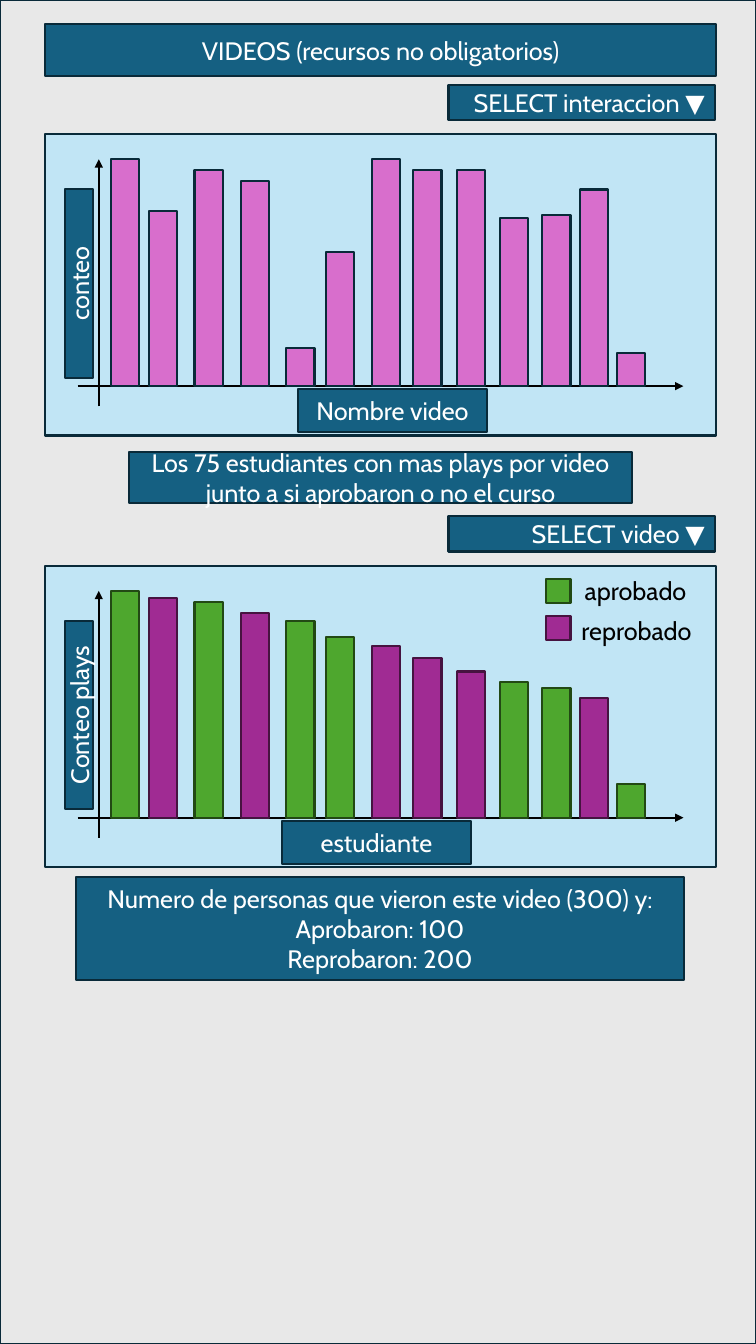
"""Build a dashboard mockup slide about video plays and student results."""
from lxml import etree
from pptx import Presentation
from pptx.dml.color import RGBColor
from pptx.enum.shapes import MSO_CONNECTOR, MSO_SHAPE
from pptx.enum.text import MSO_ANCHOR, PP_ALIGN
from pptx.oxml.ns import qn
from pptx.util import Inches, Pt

PAGE_GRAY = RGBColor(0xE8, 0xE8, 0xE8)
TEAL = RGBColor(0x15, 0x60, 0x82)
NAVY = RGBColor(0x09, 0x2A, 0x39)
PALE_BLUE = RGBColor(0xC1, 0xE5, 0xF5)
PINK = RGBColor(0xD8, 0x6E, 0xCC)
GREEN = RGBColor(0x4E, 0xA7, 0x2E)
DARK_GREEN = RGBColor(0x22, 0x49, 0x14)
PURPLE = RGBColor(0xA0, 0x2B, 0x93)
DARK_PURPLE = RGBColor(0x46, 0x13, 0x40)
WHITE = RGBColor(0xFF, 0xFF, 0xFF)
BLACK = RGBColor(0x00, 0x00, 0x00)

VIDEO = (PINK, NAVY)
PASSED = (GREEN, DARK_GREEN)
FAILED = (PURPLE, DARK_PURPLE)

PANEL_STEP = 4.28
BASELINE = 3.83
BAR_WIDTH = 0.28
BAR_LEFTS = [1.1, 1.48, 1.93, 2.39, 2.84, 3.23, 3.69, 4.1, 4.53, 4.96, 5.38, 5.75, 6.12]
VIDEO_COUNTS = [2.25, 1.74, 2.14, 2.03, 0.38, 1.33, 2.25, 2.14, 2.14, 1.67, 1.7, 1.95, 0.33]
STUDENT_PLAYS = [2.25, 2.18, 2.14, 2.03, 1.95, 1.79, 1.7, 1.58, 1.45, 1.35, 1.29, 1.19, 0.33]
RESULTS = [PASSED, FAILED, PASSED, FAILED, PASSED, PASSED, FAILED,
           FAILED, FAILED, PASSED, PASSED, FAILED, PASSED]

presentation = Presentation()
presentation.slide_width = Inches(7.5)
presentation.slide_height = Inches(13.33)
slide = presentation.slides.add_slide(presentation.slide_layouts[6])


def write(shape, lines, color=WHITE, align=PP_ALIGN.CENTER):
    frame = shape.text_frame
    frame.word_wrap = True
    frame.vertical_anchor = MSO_ANCHOR.MIDDLE
    for index, line in enumerate(lines):
        paragraph = frame.paragraphs[0] if index == 0 else frame.add_paragraph()
        paragraph.alignment = align
        for text, font_name in line:
            run = paragraph.add_run()
            run.text = text
            run.font.name = font_name
            run.font.size = Pt(18)
            run.font.color.rgb = color


def add_box(left, top, width, height, fill=TEAL, outline=NAVY):
    box = slide.shapes.add_shape(MSO_SHAPE.RECTANGLE, Inches(left), Inches(top),
                                 Inches(width), Inches(height))
    box.shadow.inherit = False
    box.fill.solid()
    box.fill.fore_color.rgb = fill
    box.line.color.rgb = outline
    box.line.width = Pt(1.5)
    return box


add_box(0, 0, 7.5, 13.33, PAGE_GRAY)
write(add_box(0.45, 0.24, 6.65, 0.51), [[("VIDEOS (recursos no obligatorios)", "Cabin")]])
write(add_box(1.28, 4.48, 4.99, 0.51),
      [[("Los 75 estudiantes con mas plays por video junto a si aprobaron o no el curso", "Cabin")]])

panels = [
    ("SELECT interaccion ", "conteo", "Nombre video", 2.96, VIDEO_COUNTS, [VIDEO] * len(BAR_LEFTS)),
    ("SELECT video ", "Conteo plays", "estudiante", 2.8, STUDENT_PLAYS, RESULTS),
]
for number, (selector, y_title, x_title, x_title_left, heights, styles) in enumerate(panels):
    offset = number * PANEL_STEP
    baseline = BASELINE + offset
    write(add_box(4.45, 0.84 + offset, 2.64, 0.35),
          [[(selector, "Cabin"), ("▼", "Cambria")]], align=PP_ALIGN.RIGHT)
    add_box(0.45, 1.33 + offset, 6.65, 2.99, PALE_BLUE)

    for x1, y1, x2, y2 in [(0.98, 4.03 + offset, 0.98, 1.58 + offset),
                           (0.77, baseline, 6.78, baseline)]:
        axis = slide.shapes.add_connector(MSO_CONNECTOR.STRAIGHT, Inches(x1), Inches(y1),
                                          Inches(x2), Inches(y2))
        axis.line.color.rgb = BLACK
        axis.line.width = Pt(1.5)
        etree.SubElement(axis.line._get_or_add_ln(), qn("a:tailEnd"), type="triangle")
        etree.SubElement(axis._element.spPr, qn("a:effectLst"))

    write(add_box(x_title_left, 3.86 + offset, 1.87, 0.43), [[(x_title, "Cabin")]])
    y_label = add_box(-0.15, 2.67 + offset, 1.87, 0.28)
    y_label.rotation = 270
    write(y_label, [[(y_title, "Cabin")]])

    for left, height, (fill, outline) in zip(BAR_LEFTS, heights, styles):
        add_box(left, baseline - height, BAR_WIDTH, height, fill, outline)

legend = [("aprobado", PASSED, 5.74, 5.66, 5.74, 1.29),
          ("reprobado", FAILED, 6.11, 5.63, 6.13, 1.37)]
for result, (fill, outline), key_top, label_left, label_top, label_width in legend:
    add_box(5.42, key_top, 0.24, 0.24, fill, outline)
    label = slide.shapes.add_textbox(Inches(label_left), Inches(label_top),
                                     Inches(label_width), Inches(0.24))
    write(label, [[(result, "Cabin")]], BLACK)

summary = ["Numero de personas que vieron este video (300) y:", "Aprobaron: 100", "Reprobaron: 200"]
write(add_box(0.75, 8.7, 6.04, 1.02), [[(line, "Cabin")] for line in summary])

presentation.save("out.pptx")
